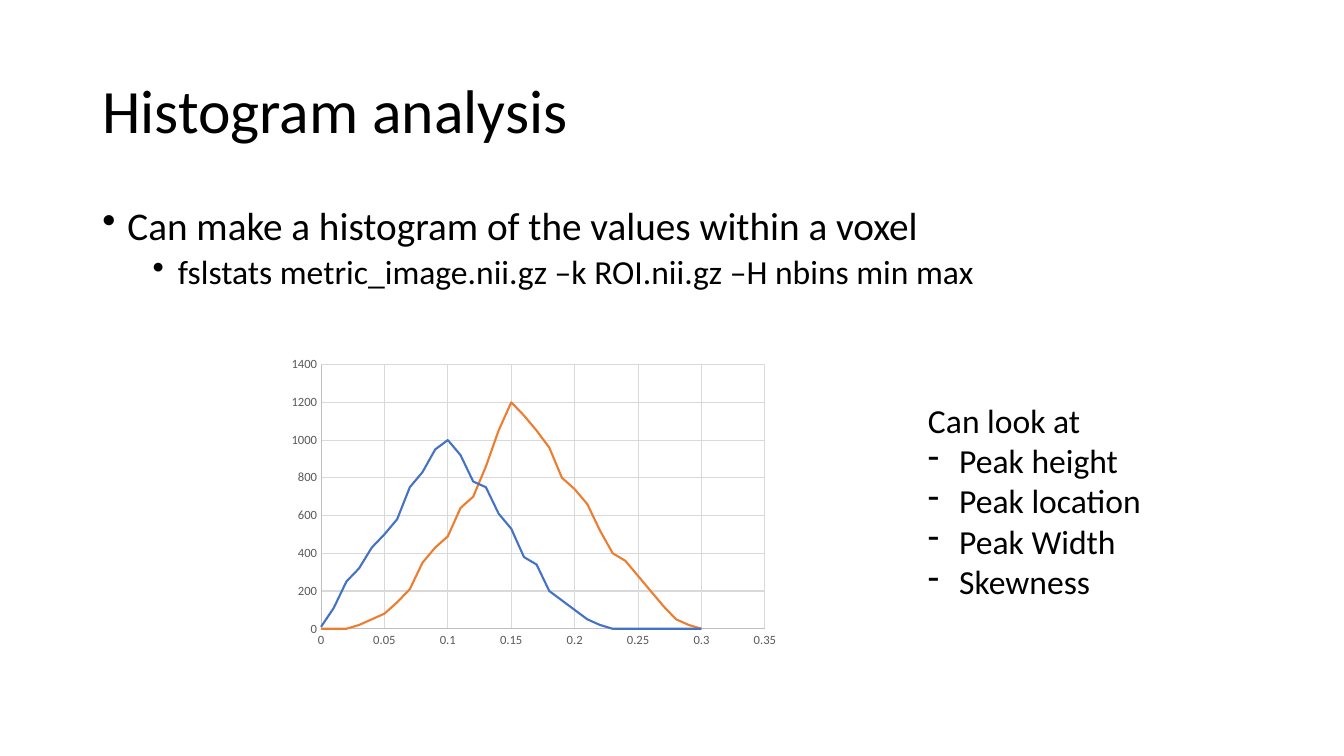
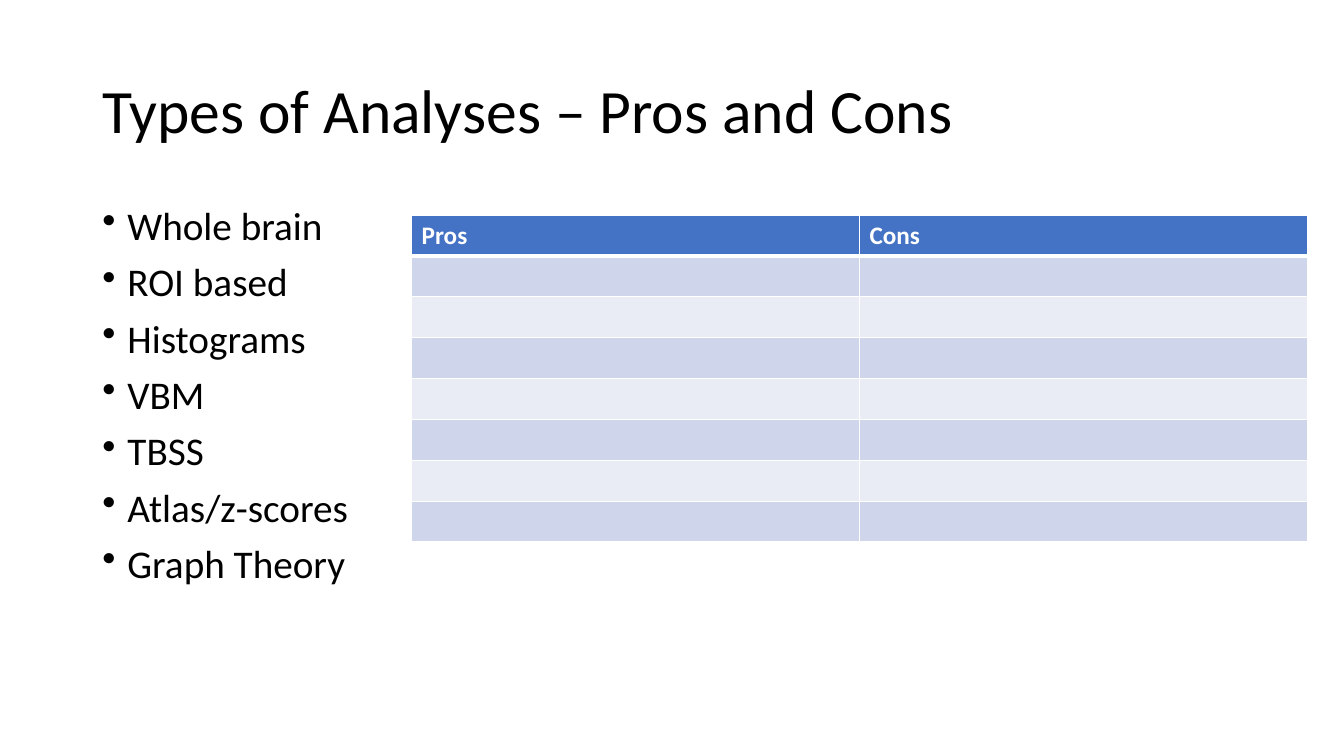
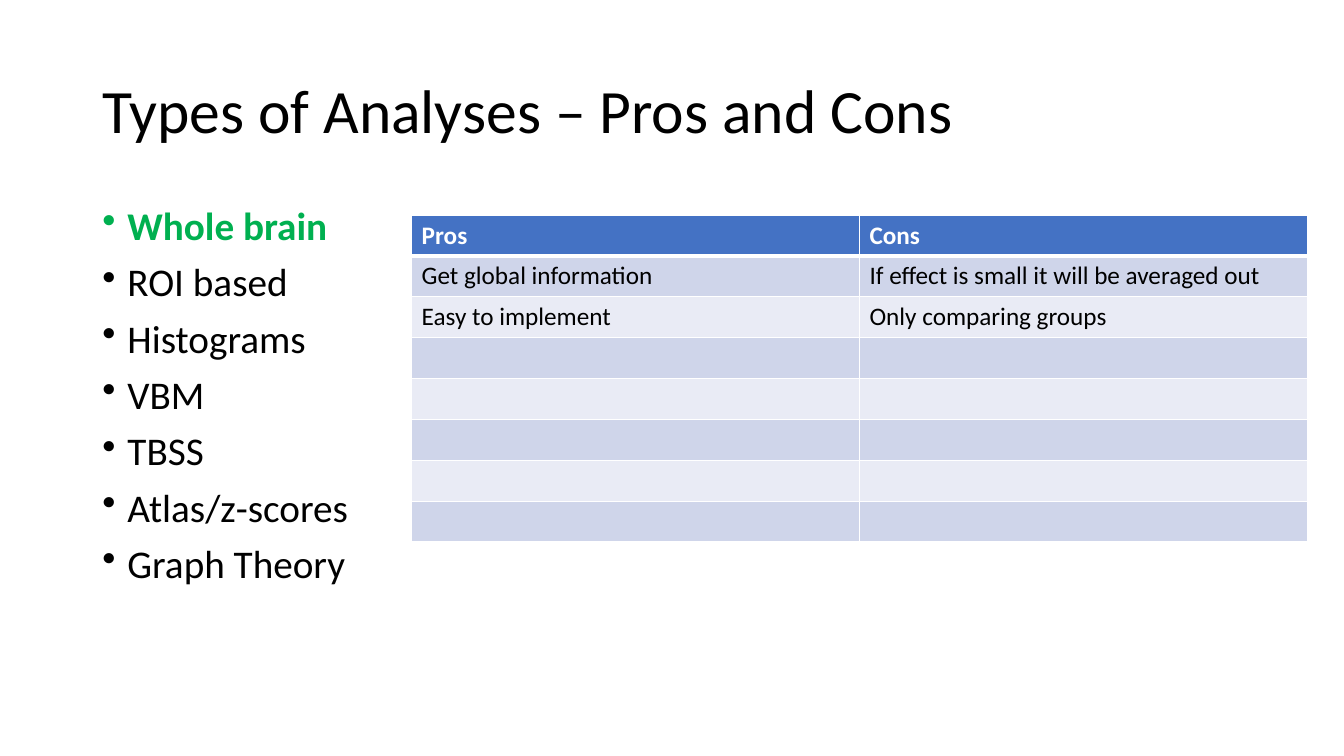
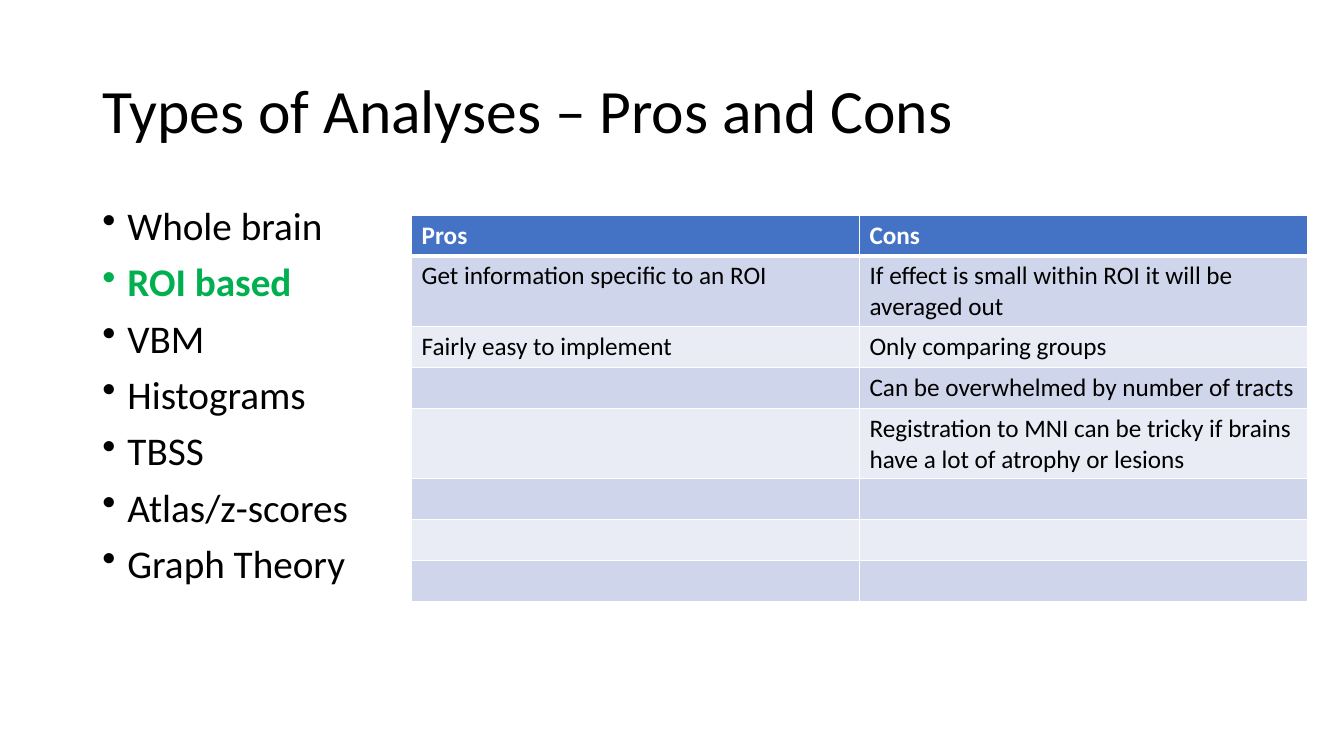
from lxml.etree import SubElement
from pptx import Presentation
from pptx.chart.data import XyChartData
from pptx.dml.color import RGBColor
from pptx.enum.chart import XL_CHART_TYPE as Kind, XL_TICK_MARK as Tick
from pptx.enum.text import MSO_ANCHOR as Anchor, MSO_AUTO_SIZE as Fit
from pptx.oxml.ns import qn
from pptx.util import Inches, Pt

FONT = "Calibri"
BLACK, WHITE, GREEN = "000000", "FFFFFF", "00B050"
BLUE, ORANGE = "4472C4", "ED7D31"
BANDS = ("CFD5EA", "E9EBF5")
GRAY, AXIS, GRID = "595959", "BFBFBF", "D9D9D9"

# The slide is a grid of 160 columns by 90 rows.
COLS, ROWS = 160, 90
CELL = Inches(1 / 12)
LEFT, WIDE = 11, 138

TYPES = "Types of Analyses – Pros and Cons"
KINDS = ["Whole brain", "ROI based", "Histograms", "VBM", "TBSS",
         "Atlas/z-scores", "Graph Theory"]
SWAPPED = KINDS[:2] + ["VBM", "Histograms"] + KINDS[4:]
LOW = [10, 110, 250, 320, 430, 500, 580, 750, 830, 950, 1000, 920, 780, 750,
       610, 530, 380, 340, 200, 150, 100, 50, 20] + [0] * 8
HIGH = [0, 0, 0, 20, 50, 80, 140, 210, 350, 430, 490, 640, 700, 860, 1050,
        1200, 1130, 1050, 960, 800, 740, 660, 520, 400, 360, 280, 200, 120,
        50, 20, 0]


def rgb(code):
    return RGBColor.from_string(code)


def place(*cells):
    """Turn grid cells into slide lengths."""
    return [int(n * CELL) for n in cells]


def style(font, size, color=BLACK, bold=False):
    font.name, font.size, font.bold = FONT, Pt(size), bold
    font.color.rgb = rgb(color)


def stroke(line, color, width):
    line.color.rgb = rgb(color)
    line.width = Pt(width)


def add_box(slide, *cells):
    frame = slide.shapes.add_textbox(*place(*cells)).text_frame
    frame.word_wrap = True
    return frame


def add_line(frame, text, size, color=BLACK, bold=False):
    """Fill the first paragraph, or append one when it is taken."""
    para = frame.paragraphs[0]
    if para.runs:
        para = frame.add_paragraph()
    para.text = text
    style(para.runs[0].font, size, color, bold)
    return para


def add_mark(para, mark, left, hang):
    """Give the paragraph a bullet and a hanging indent, in inches."""
    props = para._p.get_or_add_pPr()
    props.set("marL", str(Inches(left)))
    props.set("indent", str(-Inches(hang)))
    SubElement(props, qn("a:buChar"), char=mark)


def add_title(slide, text):
    frame = add_box(slide, LEFT, 4.8, WIDE, 17.4)
    frame.vertical_anchor = Anchor.MIDDLE
    add_line(frame, text, 44).line_spacing = 0.9


def add_body(slide, items, strong=None):
    """Bullets from (level, text) pairs; the strong one is green and bold."""
    frame = add_box(slide, LEFT, 24, WIDE, 57.1)
    for level, text in items:
        picked = text == strong
        para = add_line(frame, text, 28 - 4 * level,
                        GREEN if picked else BLACK, picked)
        para.level = level
        para.line_spacing = 0.9
        para.space_before = Pt(10 - 5 * level)
        add_mark(para, "•", 0.25 + 0.5 * level, 0.25)


def add_notes(slide, head, items):
    frame = add_box(slide, 109.3, 47, 28.1, 25.5)
    frame.word_wrap = False
    frame.auto_size = Fit.SHAPE_TO_FIT_TEXT
    add_line(frame, head, 24)
    for item in items:
        add_mark(add_line(frame, item, 24), "-", 0.31, 0.31)


def add_curves(slide, curves):
    data = XyChartData()
    for num, (vals, _) in enumerate(curves, 1):
        series = data.add_series(f"Series {num}")
        for step, val in enumerate(vals):
            series.add_data_point(step / 100, val)
    chart = slide.shapes.add_chart(Kind.XY_SCATTER_LINES_NO_MARKERS,
                                   *place(33.5, 41.8, 60.1, 36), data).chart
    chart.has_title = chart.has_legend = False
    style(chart.font, 10)
    chart.plots[0].vary_by_categories = False
    for series, (_, color) in zip(chart.plots[0].series, curves):
        series.smooth = False
        stroke(series.format.line, color, 1.5)
    scales = ((chart.category_axis, 0.35, 0.05), (chart.value_axis, 1400, 200))
    for axis, top, step in scales:
        axis.minimum_scale, axis.maximum_scale = 0, top
        axis.major_unit = step
        axis.major_tick_mark = axis.minor_tick_mark = Tick.NONE
        axis.has_major_gridlines = True
        style(axis.tick_labels.font, 9, GRAY)
        stroke(axis.format.line, AXIS, 0.75)
        stroke(axis.major_gridlines.format.line, GRID, 0.75)


def add_edges(cell, top, bottom):
    """White borders; top and bottom widths are in points."""
    props = cell._tc.get_or_add_tcPr()
    edges = (("L", 1), ("R", 1), ("T", top), ("B", bottom))
    for spot, (side, width) in enumerate(edges):
        line = props.makeelement(qn(f"a:ln{side}"), {"w": str(Pt(width))})
        fill = SubElement(line, qn("a:solidFill"))
        SubElement(fill, qn("a:srgbClr"), val=WHITE)
        props.insert(spot, line)


def add_table(slide, pros, cons):
    count, high = 8, 4.87
    table = slide.shapes.add_table(
        count, 2, *place(49, 25.6, 106.64, count * high)).table
    for col, texts in enumerate((["Pros"] + pros, ["Cons"] + cons)):
        for row in range(count):
            cell = table.cell(row, col)
            head = row == 0
            cell.fill.solid()
            cell.fill.fore_color.rgb = rgb(BLUE if head else BANDS[(row - 1) % 2])
            add_edges(cell, 3 if row == 1 else 1, 3 if head else 1)
            if row < len(texts):
                add_line(cell.text_frame, texts[row], 18,
                         WHITE if head else BLACK, head)


def main():
    deck = Presentation()
    deck.slide_width, deck.slide_height = place(COLS, ROWS)
    blank = deck.slide_layouts[6]

    slide = deck.slides.add_slide(blank)
    add_title(slide, "Histogram analysis")
    add_body(slide, [
        (0, "Can make a histogram of the values within a voxel"),
        (1, "fslstats metric_image.nii.gz –k ROI.nii.gz –H nbins min max")])
    add_curves(slide, [(LOW, BLUE), (HIGH, ORANGE)])
    add_notes(slide, "Can look at", ["Peak height", "Peak location",
                                     "Peak Width", "Skewness"])

    pages = [
        (KINDS, None, [], []),
        (KINDS, "Whole brain",
         ["Get global information", "Easy to implement"],
         ["If effect is small it will be averaged out",
          "Only comparing groups"]),
        (SWAPPED, "ROI based",
         ["Get information specific to an ROI", "Fairly easy to implement"],
         ["If effect is small within ROI it will be averaged out",
          "Only comparing groups",
          "Can be overwhelmed by number of tracts",
          "Registration to MNI can be tricky if brains have a lot of "
          "atrophy or lesions"]),
    ]
    for kinds, strong, pros, cons in pages:
        slide = deck.slides.add_slide(blank)
        add_title(slide, TYPES)
        add_body(slide, [(0, kind) for kind in kinds], strong)
        add_table(slide, pros, cons)

    deck.save("out.pptx")


if __name__ == "__main__":
    main()
